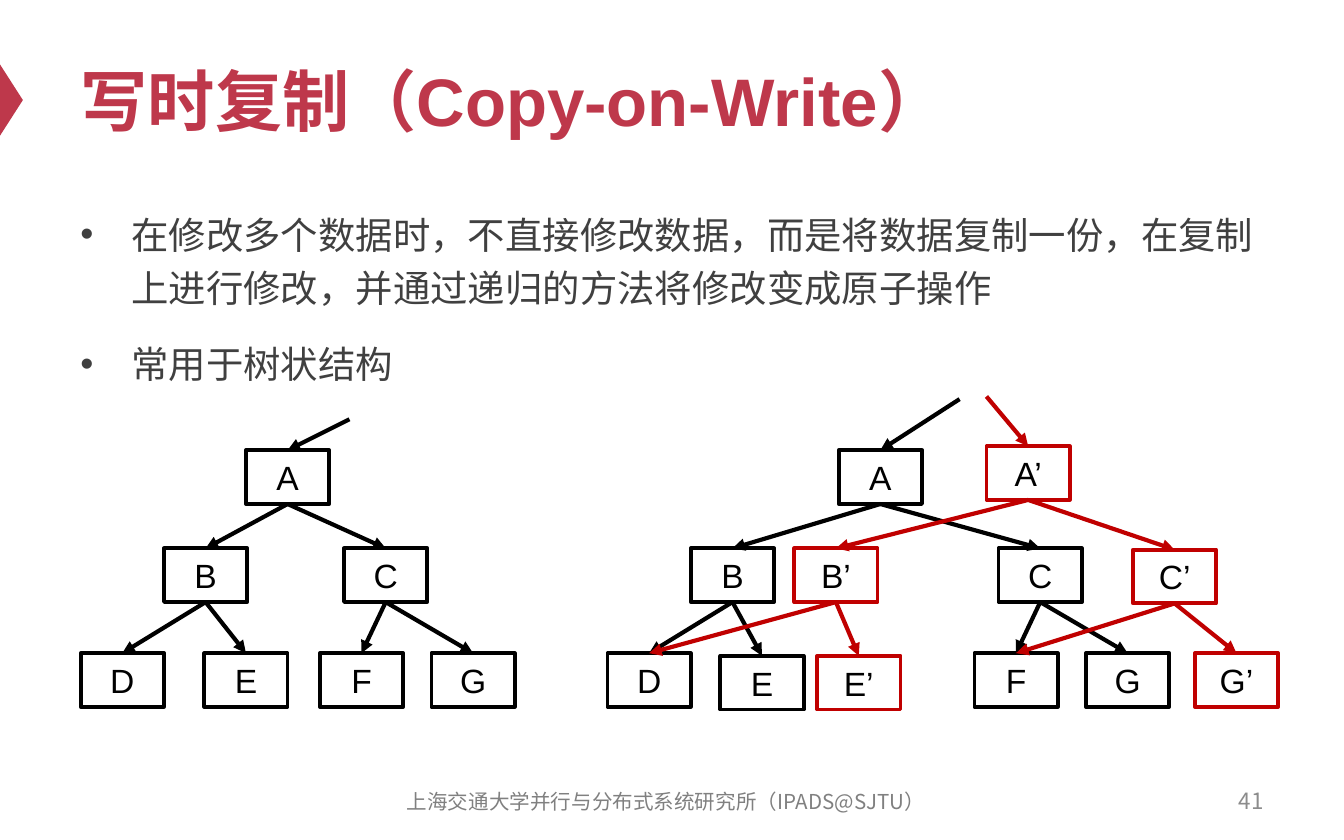
from lxml.etree import SubElement
from pptx import Presentation
from pptx.dml.color import RGBColor
from pptx.enum.shapes import MSO_CONNECTOR, MSO_SHAPE
from pptx.enum.text import MSO_ANCHOR, MSO_AUTO_SIZE, PP_ALIGN
from pptx.oxml.ns import qn
from pptx.util import Pt

PX = 9144  # EMU per px, 100 px to the inch
RED = RGBColor(0xBE, 0x38, 0x4B)
COPY_RED = RGBColor(0xC0, 0x00, 0x00)
BLACK = RGBColor(0, 0, 0)
WHITE = RGBColor(255, 255, 255)
BODY_GRAY = RGBColor(0x40, 0x40, 0x40)
FOOTER_GRAY = RGBColor(0x80, 0x80, 0x80)
NUMBER_GRAY = RGBColor(0x8C, 0x8C, 0x8C)
LATIN, CJK = "Arial", "Noto Sans CJK SC"

TITLE = "写时复制（Copy-on-Write）"
BULLETS = [
    "在修改多个数据时，不直接修改数据，而是将数据复制一份，在复制上进行修改，并通过递归的方法将修改变成原子操作",
    "常用于树状结构",
]
FOOTER = "上海交通大学并行与分布式系统研究所（IPADS@SJTU）"
NUMBER = "41"

NODE_W, NODE_H = 62, 40
TREE_EDGES = ["A B", "A C", "B D", "B E", "C F", "C G"]
# nodes: name -> left, top; entry: start of the arrow into the root
TREES = [
    dict(color=BLACK, root="A", entry=(260, 312), edges=TREE_EDGES,
         nodes={"A": (183, 335), "B": (122, 408), "C": (256, 408), "D": (60, 486),
                "E": (152, 486), "F": (238, 486), "G": (321, 486)}),
    dict(color=BLACK, root="A", entry=(714, 297), edges=TREE_EDGES,
         nodes={"A": (624, 335), "B": (514, 408), "C": (743, 408), "D": (452, 486),
                "E": (536, 488), "F": (725, 486), "G": (808, 486)}),
    dict(color=COPY_RED, root="A’", entry=(734, 295),
         edges=["B’ E’", "A’ C’", "A’ B’", "C’ G’", "C’ F", "B’ D"],
         nodes={"E’": (608, 488), "G’": (889, 486), "B’": (591, 408),
                "C’": (843, 409), "A’": (734, 332)}),
]


def px(*values):
    return [v * PX for v in values]


def write(p, text, align=PP_ALIGN.LEFT, east_asian=CJK, **font):
    p.alignment = align
    r = p.add_run()
    r.text = text
    color = font.pop("color")
    for name, value in font.items():
        setattr(r.font, name, value)
    r.font.color.rgb = color
    SubElement(r.font._element, qn("a:ea")).set("typeface", east_asian)


def set_frame(tf, anchor):
    for name, value in dict(word_wrap=True, auto_size=MSO_AUTO_SIZE.NONE,
                            vertical_anchor=anchor).items():
        setattr(tf, name, value)
    return tf


def add_text(slide, box, anchor=MSO_ANCHOR.MIDDLE):
    return set_frame(slide.shapes.add_textbox(*px(*box)).text_frame, anchor)


def add_bullet(p):
    pPr = p._p.get_or_add_pPr()
    pPr.set("marL", str(38 * PX))
    pPr.set("indent", str(-38 * PX))
    SubElement(pPr, qn("a:buFont")).set("typeface", LATIN)
    SubElement(pPr, qn("a:buChar")).set("char", "•")


def add_node(slide, name, left, top, color):
    s = slide.shapes.add_shape(MSO_SHAPE.RECTANGLE, *px(left, top, NODE_W, NODE_H))
    s.shadow.inherit = False
    s.fill.solid()
    s.fill.fore_color.rgb = WHITE
    s.line.color.rgb = color
    s.line.width = Pt(2)
    tf = set_frame(s.text_frame, MSO_ANCHOR.MIDDLE)
    write(tf.paragraphs[0], name, PP_ALIGN.CENTER, name=LATIN, east_asian=LATIN,
          size=Pt(18), color=BLACK)
    return s


def add_arrow(slide, target, color, source=None, start=(0, 0)):
    """Arrow into the top of target, from the bottom of source or from a point."""
    c = slide.shapes.add_connector(MSO_CONNECTOR.STRAIGHT, *px(*start, *start))
    if source is not None:
        c.begin_connect(source, 2)
    c.end_connect(target, 0)
    c.line.color.rgb = color
    c.line.width = Pt(2.25)
    SubElement(c.line._get_or_add_ln(), qn("a:tailEnd")).set("type", "triangle")
    SubElement(c._element.spPr, qn("a:effectLst"))


def main():
    prs = Presentation()
    prs.slide_width, prs.slide_height = px(1000, 625)
    slide = prs.slides.add_slide(prs.slide_layouts[5])

    marker = slide.shapes.add_shape(MSO_SHAPE.ISOSCELES_TRIANGLE, *px(-18, 66, 53, 17))
    marker.rotation = 90
    marker.shadow.inherit = False
    marker.fill.solid()
    marker.fill.fore_color.rgb = RED
    marker.line.fill.background()

    title = slide.shapes.title
    title.left, title.top, title.width, title.height = px(50, 25, 900, 98)
    tf = set_frame(title.text_frame, MSO_ANCHOR.MIDDLE)
    write(tf.paragraphs[0], TITLE, name=LATIN, size=Pt(36), bold=True, color=RED)

    tf = add_text(slide, (50, 146, 900, 150), MSO_ANCHOR.TOP)
    for i, text in enumerate(BULLETS):
        p = tf.add_paragraph() if i else tf.paragraphs[0]
        add_bullet(p)
        p.line_spacing = 1.2
        p.space_before = Pt(12 if i else 0)
        write(p, text, name=LATIN, size=Pt(20), color=BODY_GRAY)

    tf = add_text(slide, (717, 579, 233, 33))
    write(tf.paragraphs[0], NUMBER, PP_ALIGN.RIGHT, name=CJK, size=Pt(12), color=NUMBER_GRAY)
    tf = add_text(slide, (279, 580, 433, 33))
    write(tf.paragraphs[0], FOOTER, PP_ALIGN.CENTER, name=CJK, size=Pt(11), color=FOOTER_GRAY)

    nodes = {}  # the copied tree also points at nodes of the tree before it
    for tree in TREES:
        color = tree["color"]
        for name, (left, top) in tree["nodes"].items():
            nodes[name] = add_node(slide, name, left, top, color)
        for edge in tree["edges"]:
            parent, child = edge.split()
            add_arrow(slide, nodes[child], color, source=nodes[parent])
        add_arrow(slide, nodes[tree["root"]], color, start=tree["entry"])

    prs.save("out.pptx")


if __name__ == "__main__":
    main()
